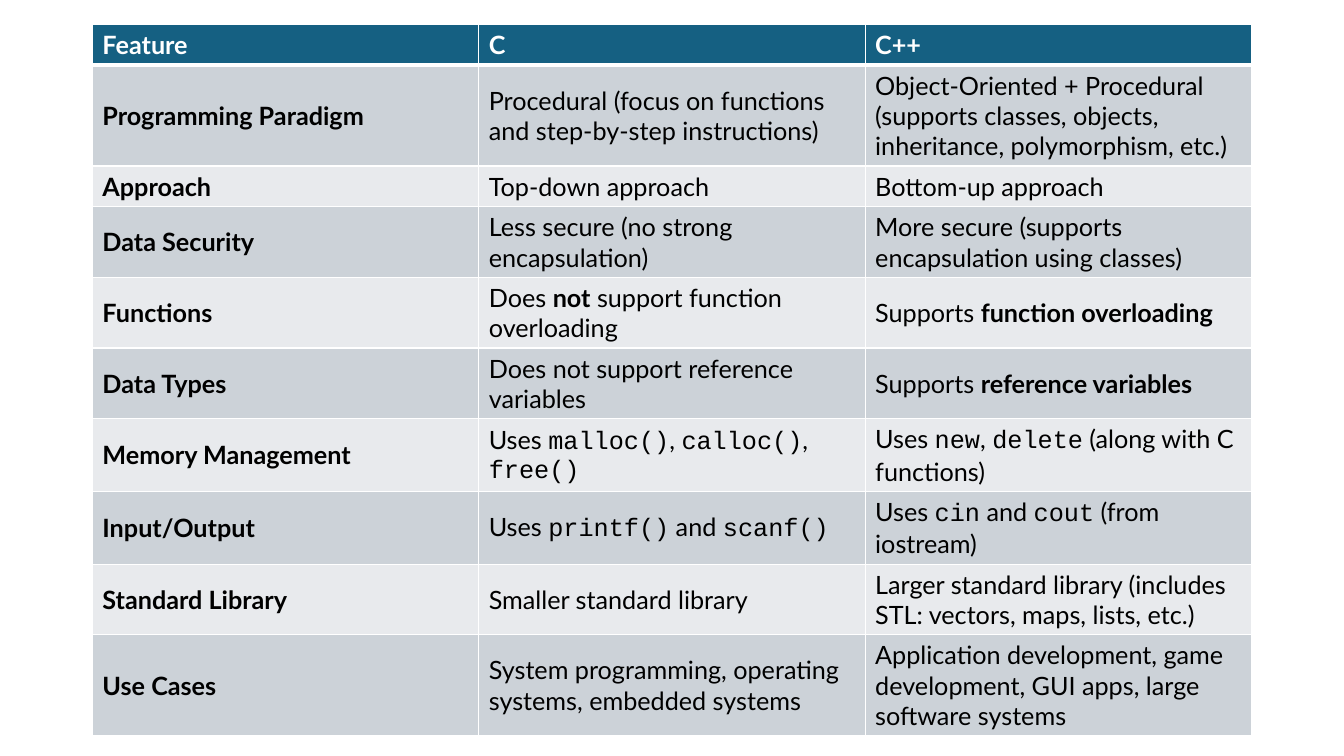
from lxml import etree
from pptx import Presentation
from pptx.dml.color import RGBColor
from pptx.enum import text
from pptx.oxml import ns
from pptx.util import Pt

PX = 9525  # EMU per px, 96 px to the inch
COL_W, ROW_H = 368, 39
HEADER, BANDS = "156082", ("CCD2D8", "E8EAED")

# *bold* and `code` mark the runs inside a cell
ROWS = [
    ("Feature", "C", "C++"),
    ("Programming Paradigm",
     "Procedural (focus on functions and step-by-step instructions)",
     "Object-Oriented + Procedural (supports classes, objects, inheritance, polymorphism, etc.)"),
    ("Approach", "Top-down approach", "Bottom-up approach"),
    ("Data Security",
     "Less secure (no strong encapsulation)",
     "More secure (supports encapsulation using classes)"),
    ("Functions",
     "Does *not* support function overloading",
     "Supports *function overloading*"),
    ("Data Types",
     "Does not support reference variables",
     "Supports *reference variables*"),
    ("Memory Management",
     "Uses `malloc()`, `calloc()`, `free()`",
     "Uses `new`, `delete` (along with C functions)"),
    ("Input/Output",
     "Uses `printf()` and `scanf()`",
     "Uses `cin` and `cout` (from iostream)"),
    ("Standard Library",
     "Smaller standard library",
     "Larger standard library (includes STL: vectors, maps, lists, etc.)"),
    ("Use Cases",
     "System programming, operating systems, embedded systems",
     "Application development, game development, GUI apps, large software systems"),
]


def write(p, marked, color="000000", bold=False, size=18):
    """Add runs to a paragraph, reading *bold* and `code` marks."""
    for i, part in enumerate(marked.split("`")):
        for j, words in enumerate(part.split("*")):
            if words:
                r = p.add_run()
                r.text = words
                r.font.name = "Courier New" if i % 2 else "Lato"
                r.font.size = Pt(size)
                r.font.bold = bold or j % 2 == 1
                r.font.color.rgb = RGBColor.from_string(color)


def add_borders(cell, color="FFFFFF", **widths):
    tc_pr = cell._tc.get_or_add_tcPr()
    for i, side in enumerate("LRTB"):
        ln = etree.Element(ns.qn(f"a:ln{side}"), w=str(Pt(widths.get(side, 1))))
        fill = etree.SubElement(ln, ns.qn("a:solidFill"))
        etree.SubElement(fill, ns.qn("a:srgbClr"), val=color)
        tc_pr.insert(i, ln)


prs = Presentation()
prs.slide_width, prs.slide_height = 1280 * PX, 720 * PX
s = prs.slides.add_slide(prs.slide_layouts[6])

table = s.shapes.add_table(len(ROWS), 3, 88 * PX, 23 * PX,
                           3 * COL_W * PX, len(ROWS) * ROW_H * PX).table
for y, row in enumerate(ROWS):
    for x, marked in enumerate(row):
        cell = table.cell(y, x)
        cell.vertical_anchor = text.MSO_ANCHOR.MIDDLE
        cell.fill.solid()
        cell.fill.fore_color.rgb = RGBColor.from_string(BANDS[(y - 1) % 2] if y else HEADER)
        add_borders(cell, B=1 if y else 3, T=3 if y == 1 else 1)
        write(cell.text_frame.paragraphs[0], marked,
              color="000000" if y else "FFFFFF", bold=y == 0 or x == 0)

prs.save("out.pptx")
